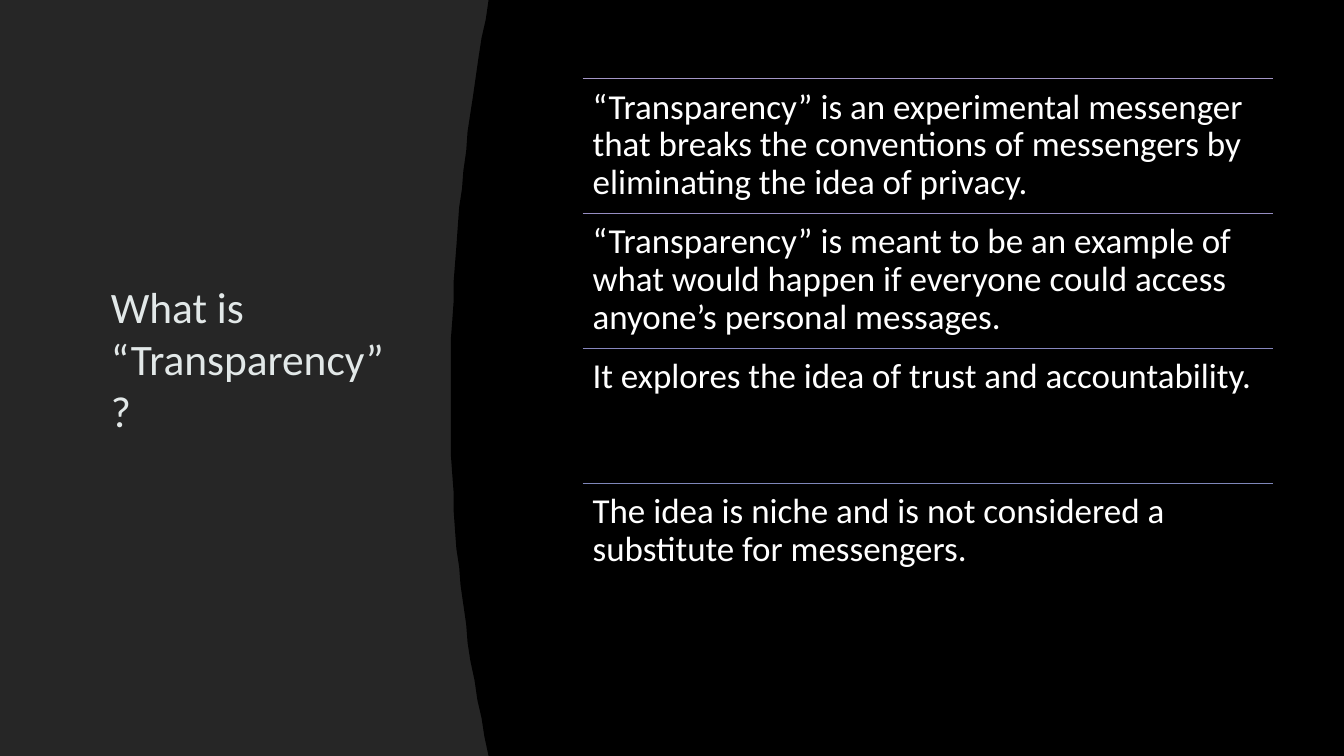
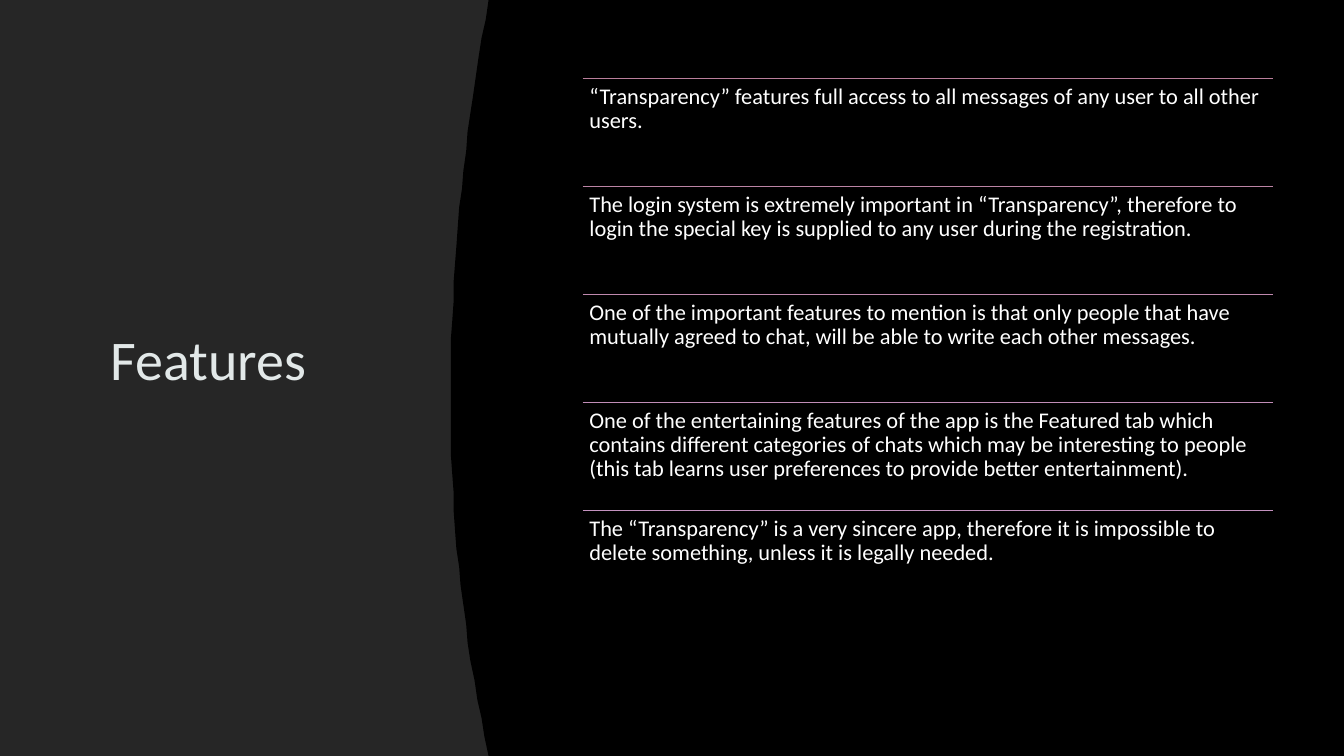
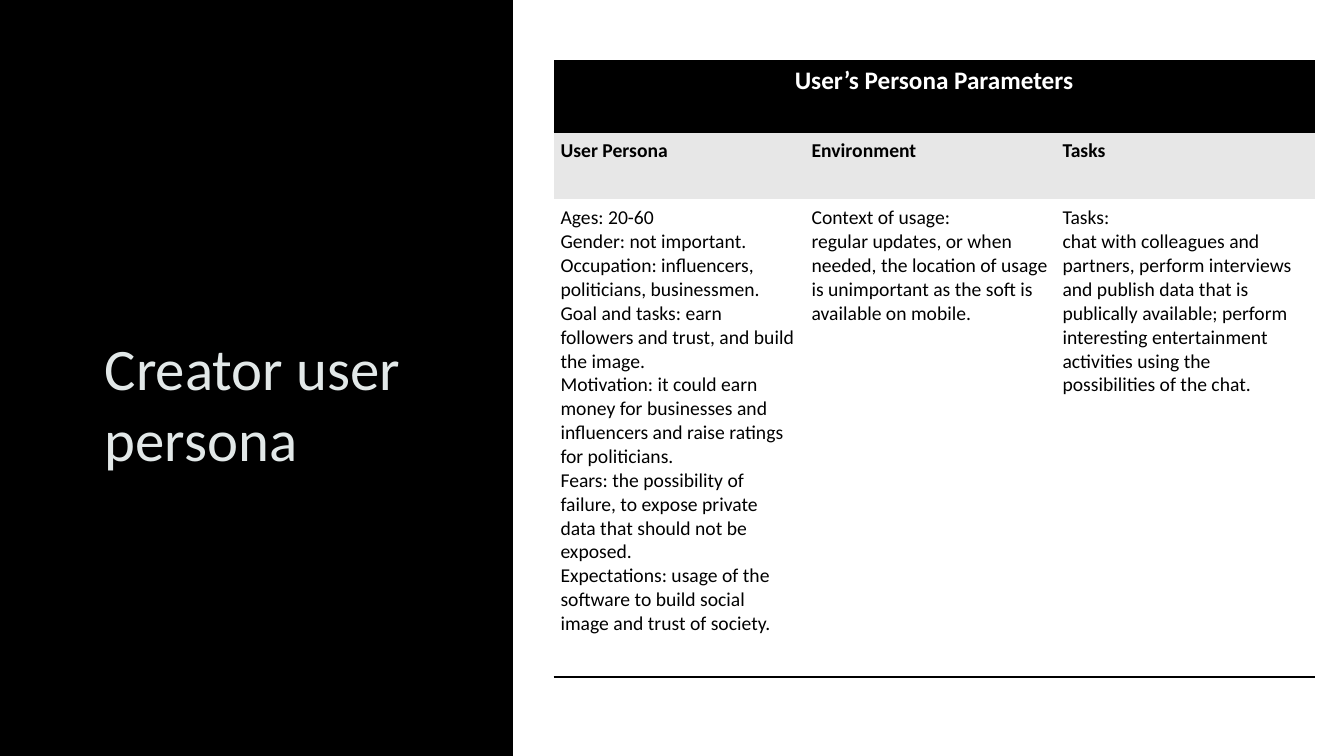
"""Build three slides about the Transparency messenger."""
from dataclasses import dataclass

from pptx import Presentation
from pptx.dml.color import RGBColor
from pptx.enum.shapes import MSO_CONNECTOR, MSO_SHAPE
from pptx.enum.text import MSO_ANCHOR, MSO_AUTO_SIZE, PP_ALIGN
from pptx.oxml import parse_xml
from pptx.oxml.ns import nsdecls, qn
from pptx.util import Pt

LINE = MSO_CONNECTOR.STRAIGHT
RECT = MSO_SHAPE.RECTANGLE
MIDDLE, BOTTOM = MSO_ANCHOR.MIDDLE, MSO_ANCHOR.BOTTOM
LEFT, CENTER = PP_ALIGN.LEFT, PP_ALIGN.CENTER
NO_FIT = MSO_AUTO_SIZE.NONE
WIDE, HIGH = 960, 540
PLAIN = "{2D5ABB26-0587-4C30-8999-92F81FD0307C}"


@dataclass(frozen=True)
class Theme:
    """Colours, font and type sizes of the deck."""
    font: str = "Calibri"
    black: str = "000000"
    white: str = "FFFFFF"
    panel: str = "262626"
    title: str = "E2E8E8"
    band: str = "E7E7E7"
    long: int = 31
    short: int = 40
    large: int = 42
    lead: int = 25
    note: int = 16
    head: int = 18
    cell: int = 14


THEME = Theme()

ABOUT = [
    ("A496C6", "“Transparency” is an experimental messenger that breaks the conventions "
     "of messengers by eliminating the idea of privacy."),
    ("968EC2", "“Transparency” is meant to be an example of what would happen if everyone "
     "could access anyone’s personal messages."),
    ("8787BE", "It explores the idea of trust and accountability."),
    ("7F87BA", "The idea is niche and is not considered a substitute for messengers."),
]
FEATURES = [
    ("BA7F9B", "“Transparency” features full access to all messages of any user to all "
     "other users."),
    ("BC84A5", "The login system is extremely important in “Transparency”, therefore to "
     "login the special key is supplied to any user during the registration."),
    ("BF89AE", "One of the important features to mention is that only people that have "
     "mutually agreed to chat, will be able to write each other messages."),
    ("C18DB7", "One of the entertaining features of the app is the Featured tab which "
     "contains different categories of chats which may be interesting to people (this "
     "tab learns user preferences to provide better entertainment)."),
    ("C492BF", "The “Transparency” is a very sincere app, therefore it is impossible to "
     "delete something, unless it is legally needed."),
]
PERSONA = {
    "User Persona": [
        "Ages: 20-60",
        "Gender: not important.",
        "Occupation: influencers, politicians, businessmen.",
        "Goal and tasks: earn followers and trust, and build the image.",
        "Motivation: it could earn money for businesses and influencers and raise "
        "ratings for politicians.",
        "Fears: the possibility of failure, to expose private data that should not be "
        "exposed.",
        "Expectations: usage of the software to build social image and trust of society.",
    ],
    "Environment": [
        "Context of usage:",
        "regular updates, or when needed, the location of usage is unimportant as the "
        "soft is available on mobile.",
    ],
    "Tasks": [
        "Tasks:",
        "chat with colleagues and partners, perform interviews and publish data that is "
        "publically available; perform interesting entertainment activities using the "
        "possibilities of the chat.",
    ],
}


def paint(fill, color):
    """Make a fill solid."""
    fill.solid()
    fill.fore_color.rgb = RGBColor.from_string(color)


def write(frame, lines, size, color, bold=False, align=LEFT, space=1.0):
    """Fill a text frame, one paragraph a line."""
    frame.word_wrap = True
    frame.text = "\n".join(lines)
    for para in frame.paragraphs:
        para.alignment = align
        para.line_spacing = space
        font = para.font
        font.name, font.size, font.bold = THEME.font, Pt(size), bold
        font.color.rgb = RGBColor.from_string(color)


def pad(box, side, edge):
    """Set the inner margins of a frame or cell."""
    box.margin_left = box.margin_right = Pt(side)
    box.margin_top = box.margin_bottom = Pt(edge)


def add_slide(deck, title, size, area, anchor):
    """Add a slide with its title set in the given area."""
    slide = deck.slides.add_slide(deck.slide_layouts[5])
    shape = slide.shapes.title
    shape.left, shape.top, shape.width, shape.height = map(Pt, area)
    frame = shape.text_frame
    write(frame, [title], size, THEME.title)
    frame.auto_size = NO_FIT
    frame.vertical_anchor = anchor
    return slide


def add_curve(slide):
    """Draw the black field with a bowed left edge."""
    edge, bow, mid, steps = 321.8, 27.4, 288, 40
    points = []
    for i in range(steps + 1):
        y = HIGH - HIGH * i / steps
        reach = mid if y < mid else HIGH - mid
        points.append((edge + bow * ((y - mid) / reach) ** 2, y))
    path = slide.shapes.build_freeform(WIDE, 0, scale=Pt(1))
    path.add_line_segments([(WIDE, HIGH)] + points)
    field = path.convert_to_shape()
    field.shadow.inherit = False
    paint(field.fill, THEME.black)
    field.line.fill.background()


def add_rule(slide, x, y, width, color):
    """Draw a thin level line."""
    rule = slide.shapes.add_connector(LINE, Pt(x), Pt(y), Pt(x + width), Pt(y))
    rule.line.width = Pt(0.75)
    rule.line.color.rgb = RGBColor.from_string(color)
    rule.element.spPr.append(parse_xml(f"<a:effectLst {nsdecls('a')}/>"))


def add_rows(slide, rows, size, inset):
    """Stack ruled statements in equal rows."""
    left, top, width, height = 416.2, 56.2, 493.2, 385.6
    step = height / len(rows)
    for i, (color, text) in enumerate(rows):
        y = top + i * step
        add_rule(slide, left, y, width, color)
        box = slide.shapes.add_textbox(Pt(left), Pt(y), Pt(width), Pt(step))
        pad(box.text_frame, inset, inset)
        write(box.text_frame, [text], size, THEME.white, space=0.9)


def list_slide(deck, title, big, rows, size, inset):
    """Add a slide with a title panel and ruled statements."""
    slide = add_slide(deck, title, big, (72, 48.2, 220.3, 415.4), MIDDLE)
    paint(slide.background.fill, THEME.panel)
    add_curve(slide)
    add_rows(slide, rows, size, inset)


def set_cell(cell, lines, size, color, fill, bold=False, align=LEFT):
    """Write and fill one table cell."""
    pad(cell, 5, 5)
    write(cell.text_frame, lines, size, color, bold, align)
    paint(cell.fill, fill)


def underline(row):
    """Draw a border under a table row."""
    for cell in row.cells:
        cell._tc.get_or_add_tcPr().insert(0, parse_xml(
            f'<a:lnB {nsdecls("a")} w="{Pt(2)}"><a:solidFill>'
            f'<a:srgbClr val="{THEME.black}"/></a:solidFill></a:lnB>'))


def add_grid(slide, title, data):
    """Add the table: a merged title, heads and text columns."""
    cols, rows = (179.3, 179.3, 185), (51.2, 48.2, 341.2)
    frame = slide.shapes.add_table(
        len(rows), len(cols), Pt(395.4), Pt(43), Pt(sum(cols)), Pt(sum(rows)))
    frame.element.find(".//" + qn("a:tableStyleId")).text = PLAIN
    table = frame.table
    for col, width in zip(table.columns, cols):
        col.width = Pt(width)
    for row, height in zip(table.rows, rows):
        row.height = Pt(height)
    top = table.cell(0, 0)
    top.merge(table.cell(0, len(cols) - 1))
    set_cell(top, [title], THEME.head, THEME.white, THEME.black, True, CENTER)
    pad(top, 7.2, 3.6)
    for i, (head, lines) in enumerate(data.items()):
        set_cell(table.cell(1, i), [head], THEME.cell, THEME.black, THEME.band, True)
        set_cell(table.cell(2, i), lines, THEME.cell, THEME.black, THEME.white)
    underline(table.rows[0])
    underline(table.rows[2])


def table_slide(deck):
    """Add the persona slide."""
    slide = add_slide(deck, "Creator user persona", THEME.large,
                      (67.7, 65.5, 266.4, 275.8), BOTTOM)
    left = 366.5
    page = slide.shapes.add_shape(RECT, Pt(left), 0, Pt(WIDE - left), Pt(HIGH))
    page.shadow.inherit = False
    paint(page.fill, THEME.white)
    page.line.fill.background()
    add_grid(slide, "User’s Persona Parameters", PERSONA)


def main():
    """Build and save the deck."""
    deck = Presentation()
    deck.slide_width, deck.slide_height = Pt(WIDE), Pt(HIGH)
    paint(deck.slide_master.background.fill, THEME.black)
    list_slide(deck, "What is “Transparency”?", THEME.long, ABOUT, THEME.lead, 7.2)
    list_slide(deck, "Features", THEME.short, FEATURES, THEME.note, 4.8)
    table_slide(deck)
    deck.save("out.pptx")


if __name__ == "__main__":
    main()
